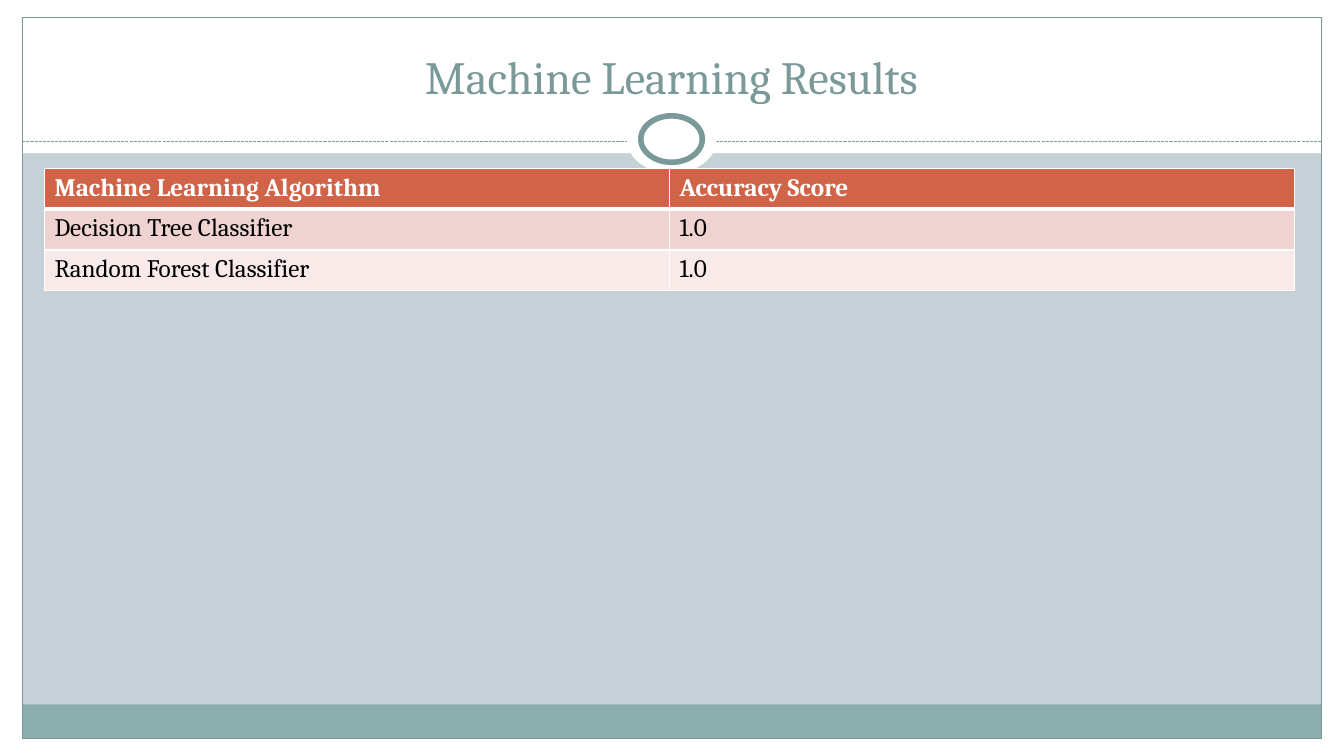
from lxml.etree import SubElement as Sub
from pptx import Presentation
from pptx.dml.color import RGBColor as Rgb
from pptx.enum.dml import MSO_LINE as Dash
from pptx.enum.shapes import MSO_CONNECTOR as Conn, MSO_SHAPE as Shape
from pptx.enum.text import MSO_ANCHOR as Anchor, PP_ALIGN as Align
from pptx.oxml.ns import qn
from pptx.util import Cm, Pt

FONT = "Cambria"
WHITE, TEAL = "FFFFFF", "7C999A"
WIDE, HIGH, EDGE = 33.87, 19.05, 0.56
INNER = WIDE - 2 * EDGE


def paint(part, color):
    """Give a fill, or the fill of a line, one solid colour."""
    part.solid()
    part.fore_color.rgb = Rgb.from_string(color)


def draw(kind, box, fill=None, width=0):
    """Add a preset shape; a width above zero gives it a teal outline."""
    shape = slide.shapes.add_shape(kind, *map(Cm, box))
    shape.shadow.inherit = False
    if fill:
        paint(shape.fill, fill)
    else:
        shape.fill.background()
    if width:
        paint(shape.line.fill, TEAL)
        shape.line.width = Pt(width)
    else:
        shape.line.fill.background()


deck = Presentation()
deck.slide_width, deck.slide_height = Cm(WIDE), Cm(HIGH)
slide = deck.slides.add_slide(deck.slide_layouts[6])
paint(slide.background.fill, "C5D1D7")

# White margins, footer band and frame
for box, fill, width in [
    ((0, 18.62, WIDE, 0.43), WHITE, 0),
    ((0, 0, WIDE, 3.86), WHITE, 0),
    ((0, 0, EDGE, HIGH), WHITE, 0),
    ((WIDE - EDGE, 0, EDGE, HIGH), WHITE, 0),
    ((EDGE, 17.75, INNER, 0.87), "8CADAE", 0),
    ((EDGE, 0.43, INNER, 18.19), None, 0.75),
]:
    draw(Shape.RECTANGLE, box, fill, width)

# Dashed rule with the ring on it
rule = slide.shapes.add_connector(
    Conn.STRAIGHT, Cm(EDGE), Cm(3.56), Cm(WIDE - EDGE), Cm(3.56))
paint(rule.line.fill, TEAL)
rule.line.width = Pt(0.75)
rule.line.dash_style = Dash.SQUARE_DOT
Sub(rule._element.spPr, qn("a:effectLst"))
draw(Shape.OVAL, (15.8, 2.67, 2.26, 1.7), WHITE)
draw(Shape.OVAL, (16.15, 2.92, 1.55, 1.17), WHITE, 4)

# Title
title = slide.shapes.add_textbox(Cm(1.12), Cm(0.64), Cm(31.6), Cm(2.11))
frame = title.text_frame
frame.word_wrap = True
frame.vertical_anchor = Anchor.BOTTOM
para = frame.paragraphs[0]
para.text = "Machine Learning Results"
para.alignment = Align.CENTER
para.font.name, para.font.size = FONT, Pt(33)
para.font.color.rgb = Rgb.from_string(TEAL)

# Table of scores
rows = [
    ("Machine Learning Algorithm", "Accuracy Score"),
    ("Decision Tree Classifier", "1.0"),
    ("Random Forest Classifier", "1.0"),
]
fills = ["D16349", "EED3D0", "F7EAE9"]
table = slide.shapes.add_table(
    3, 2, Cm(1.12), Cm(4.24), Cm(31.5), Cm(3.09)).table
for r, (row, fill) in enumerate(zip(rows, fills)):
    head = r == 0
    for c, text in enumerate(row):
        cell = table.cell(r, c)
        cell.text = text
        font = cell.text_frame.paragraphs[0].font
        font.name, font.size, font.bold = FONT, Pt(18), head
        font.color.rgb = Rgb.from_string(WHITE if head else "000000")
        props = cell._tc.get_or_add_tcPr()
        for side in "LRTB":
            thick = (head and side == "B") or (r == 1 and side == "T")
            line = Sub(props, qn(f"a:ln{side}"), w=str(Pt(3 if thick else 1)))
            Sub(Sub(line, qn("a:solidFill")), qn("a:srgbClr"), val=WHITE)
        paint(cell.fill, fill)

deck.save("out.pptx")
